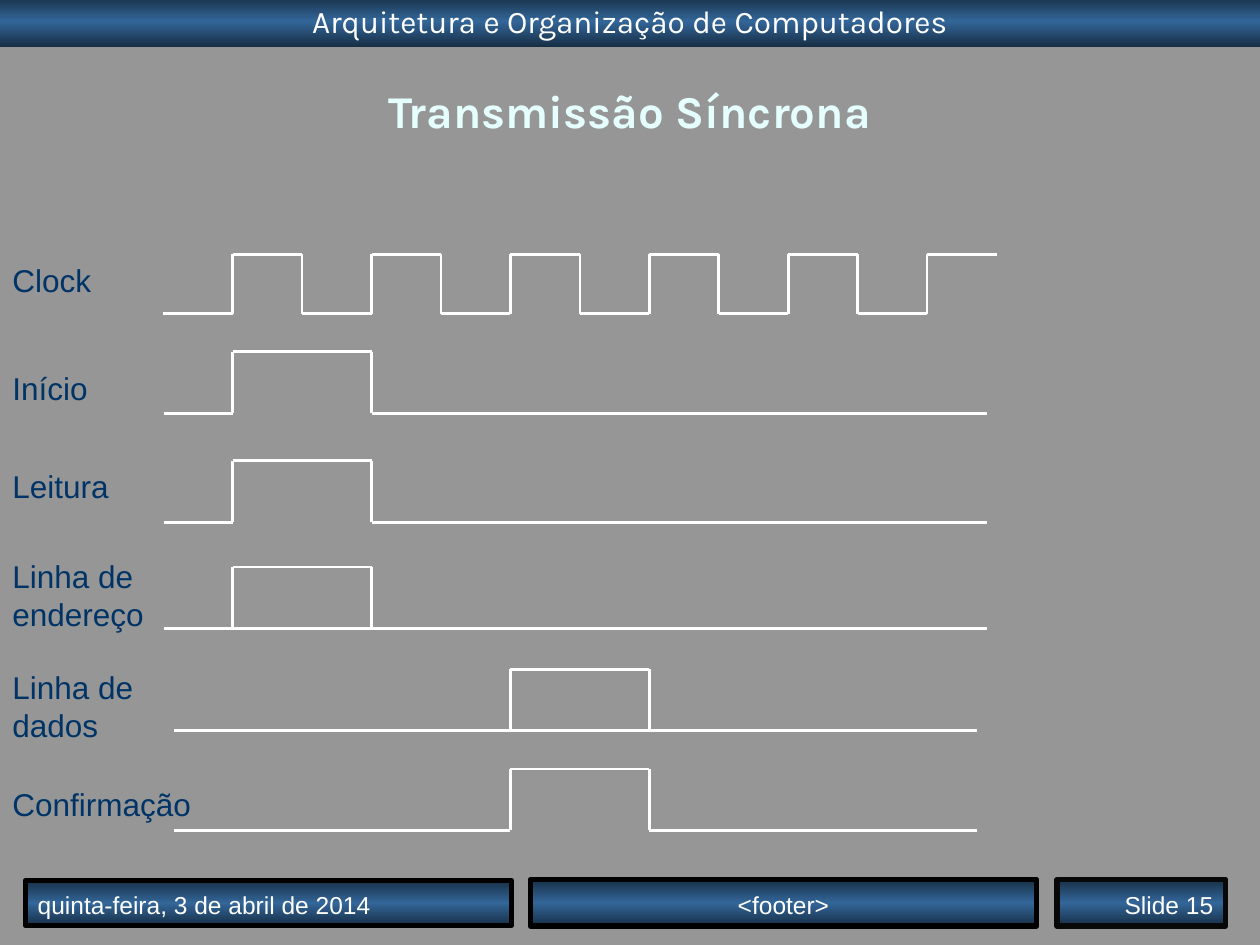
from copy import deepcopy

from lxml.etree import SubElement
from pptx import Presentation
from pptx.dml.color import RGBColor as Rgb
from pptx.enum.shapes import MSO_CONNECTOR as Link, MSO_SHAPE as Form
from pptx.enum.text import MSO_ANCHOR as Anchor, MSO_AUTO_SIZE as Fit, PP_ALIGN as Align
from pptx.oxml.ns import qn
from pptx.util import Cm, Pt

INK = {
    "back": "969696",
    "dark": "172F46",
    "blue": "336699",
    "edge": "000000",
    "rim": "080808",
    "white": "FFFFFF",
    "title": "E5FFFF",
    "label": "003366",
}


def tint(name):
    return Rgb.from_string(INK[name])


class Deck:
    def __init__(self):
        self.prs = Presentation()
        self.prs.slide_width = Cm(25.4)
        self.prs.slide_height = Cm(19.05)
        self.slide = self.prs.slides.add_slide(self.prs.slide_layouts[5])
        back = self.slide.background.fill
        back.solid()
        back.fore_color.rgb = tint("back")

    def words(self, shape, text, size, color, font="Arial", align=Align.LEFT,
              anchor=Anchor.TOP, bold=False):
        frame = shape.text_frame
        frame.text = text
        frame.word_wrap = True
        frame.auto_size = Fit.NONE
        frame.vertical_anchor = anchor
        para = frame.paragraphs[0]
        para.alignment = align
        for run in para.runs:
            run.font.name = font
            run.font.size = Pt(size)
            run.font.bold = bold
            run.font.color.rgb = tint(color)
        return para

    def title(self, text, x, y, w, h):
        shape = self.slide.shapes.title
        shape.left, shape.top, shape.width, shape.height = map(Cm, (x, y, w, h))
        para = self.words(shape, text, 26, "title", "Karla", Align.CENTER, bold=True)
        para.line_spacing = 0.6

    def bar(self, text, x, y, w, h, edge=None, **style):
        shape = self.slide.shapes.add_shape(Form.RECTANGLE, *map(Cm, (x, y, w, h)))
        shape.shadow.inherit = False
        shape.fill.gradient()
        shape.fill.gradient_angle = 90
        stops = shape.element.spPr.find(qn("a:gradFill")).find(qn("a:gsLst"))
        stops.insert(1, deepcopy(stops[0]))
        for stop, pos, name in zip(shape.fill.gradient_stops, (0, 0.5, 1),
                                   ("dark", "blue", "dark")):
            stop.position = pos
            stop.color.rgb = tint(name)
        if edge:
            shape.line.color.rgb = tint(edge)
            shape.line.width = Pt(3)
        else:
            shape.line.fill.background()
        self.words(shape, text, color="white", **style)

    def label(self, text, x, y, w, h):
        box = self.slide.shapes.add_textbox(*map(Cm, (x, y, w, h)))
        self.words(box, text, 18, "label")

    def line(self, *ends):
        wire = self.slide.shapes.add_connector(Link.STRAIGHT, *map(Cm, ends))
        wire.line.color.rgb = tint("white")
        wire.line.width = Pt(1.5)
        SubElement(wire.element.spPr, qn("a:effectLst"))

    def pulse(self, x, end, top, base):
        self.line(x, base, x, top)
        self.line(x, top, end, top)
        self.line(end, top, end, base)


START, STEP = 3.29, 1.4


def tick(i):
    return START + STEP * i


def main():
    deck = Deck()
    deck.bar("Arquitetura e Organização de Computadores", 0, -0.08, 25.4, 1.02,
             size=18, font="Karla", align=Align.CENTER)
    foot = [
        ("quinta-feira, 3 de abril de 2014", 0.51, 17.75, 9.8, 0.91, "edge", Align.LEFT),
        ("<footer>", 10.69, 17.73, 10.21, 0.94, "edge", Align.CENTER),
        ("Slide 15", 21.31, 17.73, 3.4, 0.94, "rim", Align.RIGHT),
    ]
    for text, x, y, w, h, edge, align in foot:
        deck.bar(text, x, y, w, h, edge, size=14, align=align, anchor=Anchor.BOTTOM)
    deck.title("Transmissão Síncrona", 0, 1.93, 25.4, 0.91)

    high, low = 5.13, 6.32
    for i in range(0, 12, 2):
        deck.line(tick(i), low, tick(i + 1), low)
        if i < 10:
            deck.pulse(tick(i + 1), tick(i + 2), high, low)
    deck.line(tick(11), low, tick(11), high)
    deck.line(tick(11), high, tick(12), high)
    deck.label("Clock", 0, 5.13, 3.3, 1.02)

    rows = [
        ("Início", 7.32, 3.3, 1.02, 8.33, 3.3, 1, 3, 19.9),
        ("Leitura", 9.3, 3.3, 1.02, 10.53, 3.3, 1, 3, 19.9),
        ("Linha de endereço", 11.1, 3.3, 1.78, 12.67, 3.3, 1, 1, 19.9),
        ("Linha de dados", 13.34, 3.3, 1.78, 14.73, 3.5, 5, 5, 19.7),
        ("Confirmação", 15.7, 4.9, 1.02, 16.74, 3.5, 5, 7, 19.7),
    ]
    for text, y, w, h, base, left, rise, rest, right in rows:
        deck.line(left, base, tick(rise), base)
        deck.pulse(tick(rise), tick(rise + 2), base - 1.24, base)
        deck.line(tick(rest), base, right, base)
        deck.label(text, 0, y, w, h)
    deck.prs.save("out.pptx")


if __name__ == "__main__":
    main()
